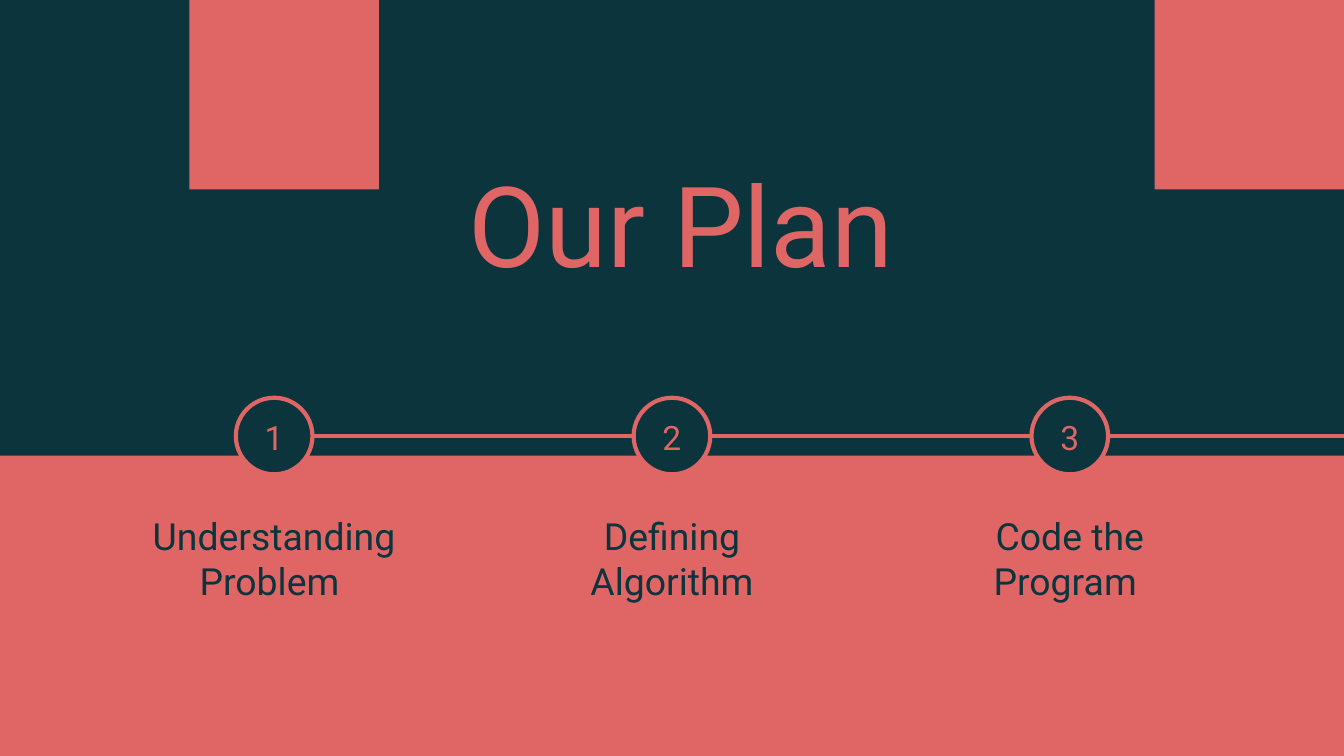
from pptx import Presentation
from pptx.dml.color import RGBColor
from pptx.enum.shapes import MSO_CONNECTOR, MSO_SHAPE
from pptx.enum.text import MSO_ANCHOR, MSO_AUTO_SIZE, PP_ALIGN
from pptx.oxml.ns import qn
from pptx.util import Inches, Pt
from lxml import etree

OVAL = MSO_SHAPE.OVAL
RECTANGLE = MSO_SHAPE.RECTANGLE
STRAIGHT = MSO_CONNECTOR.STRAIGHT
TOP = MSO_ANCHOR.TOP
MIDDLE = MSO_ANCHOR.MIDDLE
CENTER = PP_ALIGN.CENTER
NO_AUTOFIT = MSO_AUTO_SIZE.NONE
CORAL = "E06666"
TEAL = "0C343D"


def color(hex_string):
    return RGBColor.from_string(hex_string)


def write_text(shape, text, size, text_color, anchor=TOP, top_inset=0.1):
    frame = shape.text_frame
    frame.text = text
    frame.word_wrap = True
    frame.auto_size = NO_AUTOFIT
    frame.vertical_anchor = anchor
    frame.margin_left = frame.margin_right = frame.margin_bottom = Inches(0.1)
    frame.margin_top = Inches(top_inset)
    paragraph = frame.paragraphs[0]
    paragraph.alignment = CENTER
    paragraph.font.name = "Roboto"
    paragraph.font.size = Pt(size)
    paragraph.font.color.rgb = color(text_color)


presentation = Presentation()
presentation.slide_width = Inches(10)
presentation.slide_height = Inches(10 * 9 / 16)
slide = presentation.slides.add_slide(presentation.slide_layouts[5])
slide.background.fill.solid()
slide.background.fill.fore_color.rgb = color(TEAL)

blocks = [
    (-0.09, 3.39, 10.16, 2.3),
    (8.59, 0, 1.41, 1.41),
    (1.41, 0, 1.41, 1.41),
]
for bounds in blocks:
    block = slide.shapes.add_shape(RECTANGLE, *map(Inches, bounds))
    block.shadow.inherit = False
    block.fill.solid()
    block.fill.fore_color.rgb = color(CORAL)
    block.line.fill.background()

title = slide.shapes.title
title.left, title.top = Inches(0.41), Inches(1.06)
title.width, title.height = Inches(9.32), Inches(0.63)
write_text(title, "Our Plan", 60, CORAL)

steps = ["Understanding Problem ", "Defining Algorithm", "Code the Program "]
first_center, spacing = 2.04, 2.96
diameter, circle_top = 0.57, 2.96
label_width = 2.19
line_y = circle_top + diameter / 2
timeline_end = 10.07

for index, step in enumerate(steps):
    center = first_center + index * spacing

    label = slide.shapes.add_textbox(
        Inches(center - label_width / 2), Inches(3.72), Inches(label_width), Inches(0.85))
    write_text(label, step, 20, TEAL)
    label.text_frame.paragraphs[0].space_after = Pt(16)

    circle = slide.shapes.add_shape(
        OVAL, Inches(center - diameter / 2), Inches(circle_top),
        Inches(diameter), Inches(diameter))
    circle.shadow.inherit = False
    circle.fill.solid()
    circle.fill.fore_color.rgb = color(TEAL)
    circle.line.color.rgb = color(CORAL)
    circle.line.width = Pt(2.25)
    write_text(circle, str(index + 1), 18, CORAL, MIDDLE, 0.12)

    line_start = center + diameter / 2
    line_end = min(center + spacing - diameter / 2, timeline_end)
    connector = slide.shapes.add_connector(
        STRAIGHT, Inches(line_start), Inches(line_y), Inches(line_end), Inches(line_y))
    connector.line.color.rgb = color(CORAL)
    connector.line.width = Pt(2.25)
    etree.SubElement(connector._element.spPr, qn("a:effectLst"))

presentation.save("out.pptx")
